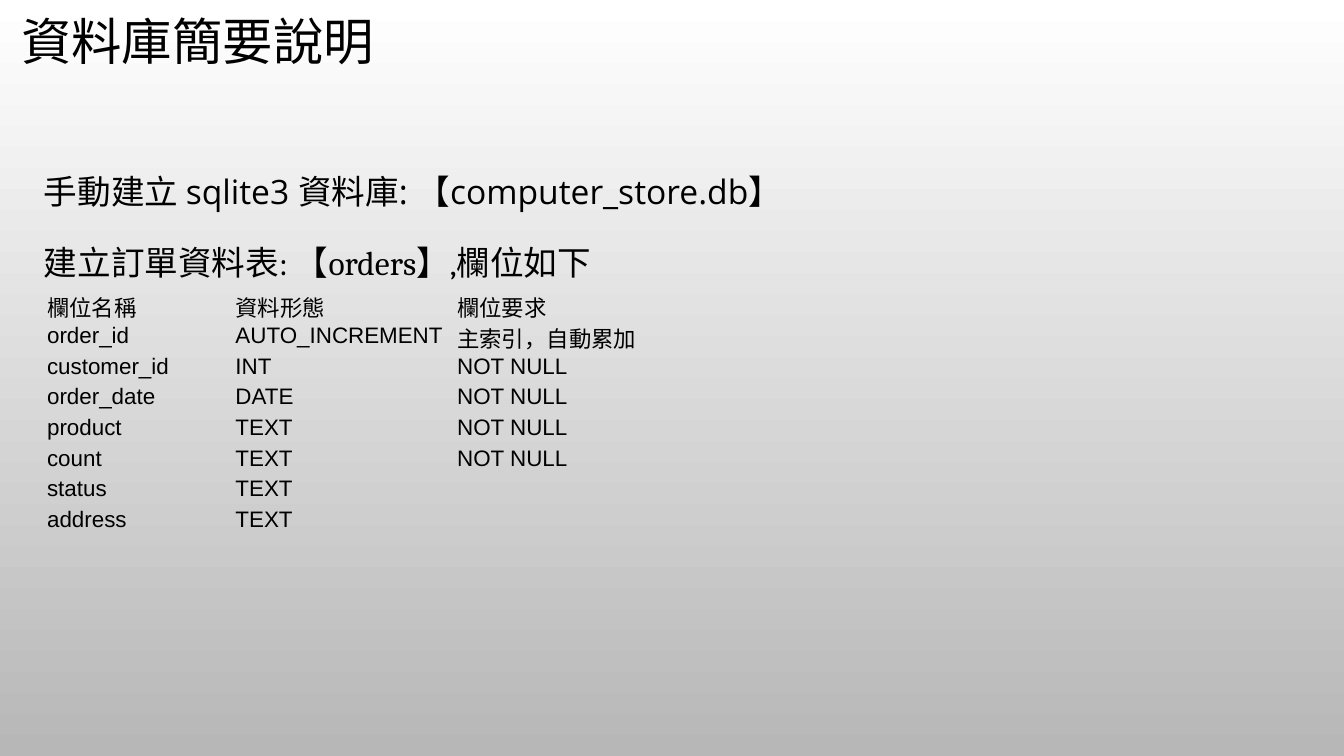
from dataclasses import dataclass

from lxml.etree import SubElement
from pptx import Presentation
from pptx.dml.color import RGBColor
from pptx.enum.text import MSO_ANCHOR
from pptx.oxml.ns import qn
from pptx.util import Cm, Pt


@dataclass(frozen=True)
class Theme:
    text: RGBColor = RGBColor(0x00, 0x00, 0x00)
    top: RGBColor = RGBColor(0xFF, 0xFF, 0xFF)
    bottom: RGBColor = RGBColor(0xB7, 0xB7, 0xB7)
    title_size: int = 27
    body_size: int = 18
    table_size: int = 12
    title_font: str = "Cambria"
    body_font: str = "Open Sans"
    table_font: str = "Arial"
    table_style: str = "{2D5ABB26-0587-4C30-8999-92F81FD0307C}"


THEME = Theme()

COLUMN_WIDTHS = [3.56, 4.19, 3.89]
ROW_HEIGHT = 0.58
FIELDS = [
    ("欄位名稱", "資料形態", "欄位要求"),
    ("order_id", "AUTO_INCREMENT", "主索引，自動累加"),
    ("customer_id", "INT", "NOT NULL"),
    ("order_date", "DATE", "NOT NULL"),
    ("product", "TEXT", "NOT NULL"),
    ("count", "TEXT", "NOT NULL"),
    ("status", "TEXT", ""),
    ("address", "TEXT", ""),
]


def paint_background(s):
    fill = s.background.fill
    fill.gradient()
    fill.gradient_angle = 270
    for stop, color in zip(fill.gradient_stops, (THEME.top, THEME.bottom)):
        stop.color.rgb = color


def add_run(p, text, size, font):
    r = p.add_run()
    r.text = text
    r.font.size = Pt(size)
    r.font.name = font
    r.font.color.rgb = THEME.text


def add_text(s, text, box, size, font, inset=0.13, spacing=1.0):
    tf = s.shapes.add_textbox(*map(Cm, box)).text_frame
    tf.word_wrap = True
    tf.margin_left = tf.margin_right = Cm(0.25)
    tf.margin_top = tf.margin_bottom = Cm(inset)
    p = tf.paragraphs[0]
    p.line_spacing = spacing
    add_run(p, text, size, font)


def fill_cell(cell, text):
    cell.fill.background()
    cell.vertical_anchor = MSO_ANCHOR.MIDDLE
    cell.margin_left = cell.margin_right = cell.margin_top = Cm(0.03)
    cell.margin_bottom = Cm(0)
    p = cell.text_frame.paragraphs[0]
    if text:
        add_run(p, text, THEME.table_size, THEME.table_font)
    else:
        SubElement(p._p, qn("a:endParaRPr"), sz=str(THEME.table_size * 100))


def add_field_table(s, left, top):
    frame = s.shapes.add_table(
        len(FIELDS), len(COLUMN_WIDTHS), Cm(left), Cm(top),
        Cm(sum(COLUMN_WIDTHS)), Cm(ROW_HEIGHT * len(FIELDS)),
    )
    table = frame.table
    table.first_row = table.horz_banding = False
    table._tbl.tblPr.find(qn("a:tableStyleId")).text = THEME.table_style
    for column, width in zip(table.columns, COLUMN_WIDTHS):
        column.width = Cm(width)
    for row, texts in zip(table.rows, FIELDS):
        row.height = Cm(ROW_HEIGHT)
        for cell, text in zip(row.cells, texts):
            fill_cell(cell, text)


def main():
    prs = Presentation()
    prs.slide_width, prs.slide_height = Cm(25.4), Cm(14.29)
    s = prs.slides.add_slide(prs.slide_layouts[6])
    paint_background(s)
    add_text(s, "資料庫簡要說明", (0.15, 0.08, 23.67, 1.96),
             THEME.title_size, THEME.title_font, inset=0.25, spacing=0.9)
    add_text(s, "手動建立 sqlite3 資料庫: 【computer_store.db】",
             (0.58, 3.1, 16.89, 0.86), THEME.body_size, THEME.body_font)
    add_text(s, "建立訂單資料表: 【orders】,欄位如下",
             (0.58, 4.45, 12.7, 0.86), THEME.body_size, THEME.title_font)
    add_field_table(s, 0.86, 5.46)
    prs.save("out.pptx")


if __name__ == "__main__":
    main()
